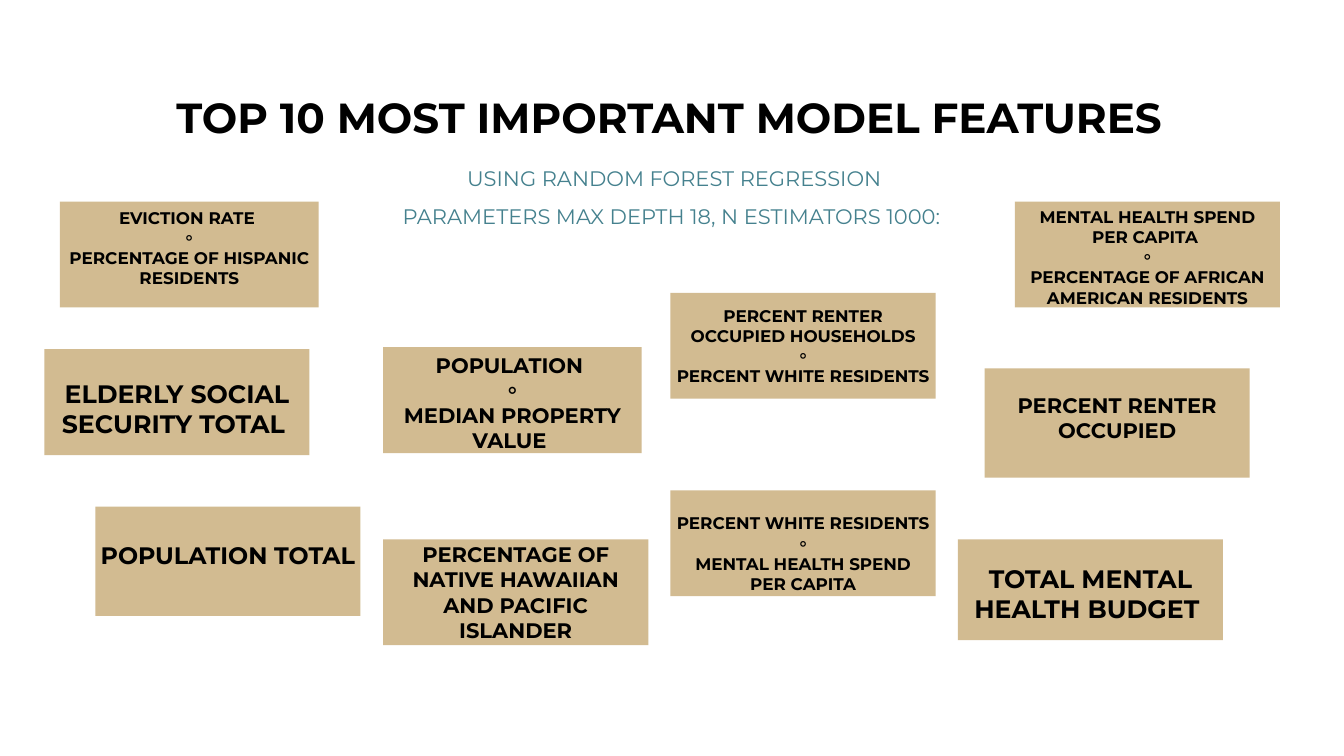
import pptx
import pptx.util
import pptx.dml.color
import pptx.enum.shapes
import pptx.enum.text
import pptx.oxml.ns
import lxml.etree

Inches = pptx.util.Inches
RGBColor = pptx.dml.color.RGBColor
BLACK = RGBColor(0x00, 0x00, 0x00)
TEAL = RGBColor(0x45, 0x81, 0x8E)
TAN = RGBColor(0xC0, 0x9F, 0x63)
FONT = "Montserrat"
CARD_OPACITY = 70
SEPARATOR = "⚬"

HEADING = ["TOP 10 MOST IMPORTANT MODEL FEATURES"]
METHOD = ["USING RANDOM FOREST REGRESSION",
          "PARAMETERS MAX DEPTH 18, N ESTIMATORS 1000: "]

# left, top, width, height, text offset from the top, text size, features
FEATURE_CARDS = [
    (0.88, 6.93, 5.26, 2.1, 0.58, 36, ["ELDERLY SOCIAL SECURITY TOTAL "]),
    (7.6, 6.89, 5.13, 2.1, 0.1, 30, ["POPULATION ", "MEDIAN PROPERTY VALUE "]),
    (13.3, 5.81, 5.26, 2.1, 0.25, 24,
     ["PERCENT RENTER OCCUPIED HOUSEHOLDS", "PERCENT WHITE RESIDENTS"]),
    (19.53, 7.31, 5.26, 2.17, 0.47, 30, ["PERCENT RENTER OCCUPIED"]),
    (1.89, 10.05, 5.26, 2.17, 0.68, 34, ["POPULATION TOTAL "]),
    (7.6, 10.7, 5.26, 2.1, 0.05, 30,
     ["PERCENTAGE OF NATIVE HAWAIIAN AND PACIFIC ISLANDER"]),
    (13.3, 9.73, 5.26, 2.1, 0.45, 24,
     ["PERCENT WHITE RESIDENTS", "MENTAL HEALTH SPEND PER CAPITA"]),
    (19, 10.7, 5.26, 2, 0.47, 36, ["TOTAL MENTAL HEALTH BUDGET "]),
    (20.13, 4, 5.26, 2.1, 0.1, 24,
     ["MENTAL HEALTH SPEND PER CAPITA ",
      "PERCENTAGE OF AFRICAN AMERICAN RESIDENTS"]),
    (1.19, 4, 5.13, 2.1, 0.12, 24,
     ["EVICTION RATE ", "PERCENTAGE OF HISPANIC RESIDENTS"]),
]


def place(holder, left, top, width, height):
    holder.left, holder.top = Inches(left), Inches(top)
    holder.width, holder.height = Inches(width), Inches(height)


def write(holder, lines, size, color, bold, text_top, spacing=1.0):
    frame = holder.text_frame
    frame.word_wrap = True
    frame.auto_size = pptx.enum.text.MSO_AUTO_SIZE.NONE
    frame.vertical_anchor = pptx.enum.text.MSO_ANCHOR.TOP
    frame.margin_left = frame.margin_right = Inches(0.1)
    frame.margin_top, frame.margin_bottom = Inches(text_top), Inches(0)
    frame.text = "\n".join(lines)
    for paragraph in frame.paragraphs:
        paragraph.alignment = pptx.enum.text.PP_ALIGN.CENTER
        paragraph.line_spacing = spacing
        paragraph.space_before = pptx.util.Pt(0)
        paragraph.font.name = FONT
        paragraph.font.size = pptx.util.Pt(size)
        paragraph.font.bold = bold
        paragraph.font.color.rgb = color


def add_card(slide, left, top, width, height, text_top, size, features):
    card = slide.shapes.add_shape(
        pptx.enum.shapes.MSO_SHAPE.RECTANGLE,
        Inches(left), Inches(top), Inches(width), Inches(height))
    card.shadow.inherit = False
    card.line.fill.background()
    card.fill.solid()
    card.fill.fore_color.rgb = TAN
    qn = pptx.oxml.ns.qn
    fill_color = card.fill._xPr.find(qn("a:solidFill")).find(qn("a:srgbClr"))
    lxml.etree.SubElement(fill_color, qn("a:alpha"), val=str(CARD_OPACITY * 1000))
    lines = f"\n{SEPARATOR}\n".join(features).split("\n")
    write(card, lines, size, BLACK, True, text_top)


def main():
    presentation = pptx.Presentation()
    presentation.slide_width = Inches(26.66)
    presentation.slide_height = Inches(15)
    slide = presentation.slides.add_slide(presentation.slide_layouts[0])

    heading, method = slide.shapes.title, slide.placeholders[1]
    place(heading, 0.88, 1.77, 24.78, 1.01)
    write(heading, HEADING, 60, BLACK, True, 0.05)
    place(method, 5.44, 2.99, 15.87, 1.01)
    write(method, METHOD, 30, TEAL, False, 0.05, spacing=1.5)

    for card in FEATURE_CARDS:
        add_card(slide, *card)
    presentation.save("out.pptx")


if __name__ == "__main__":
    main()
